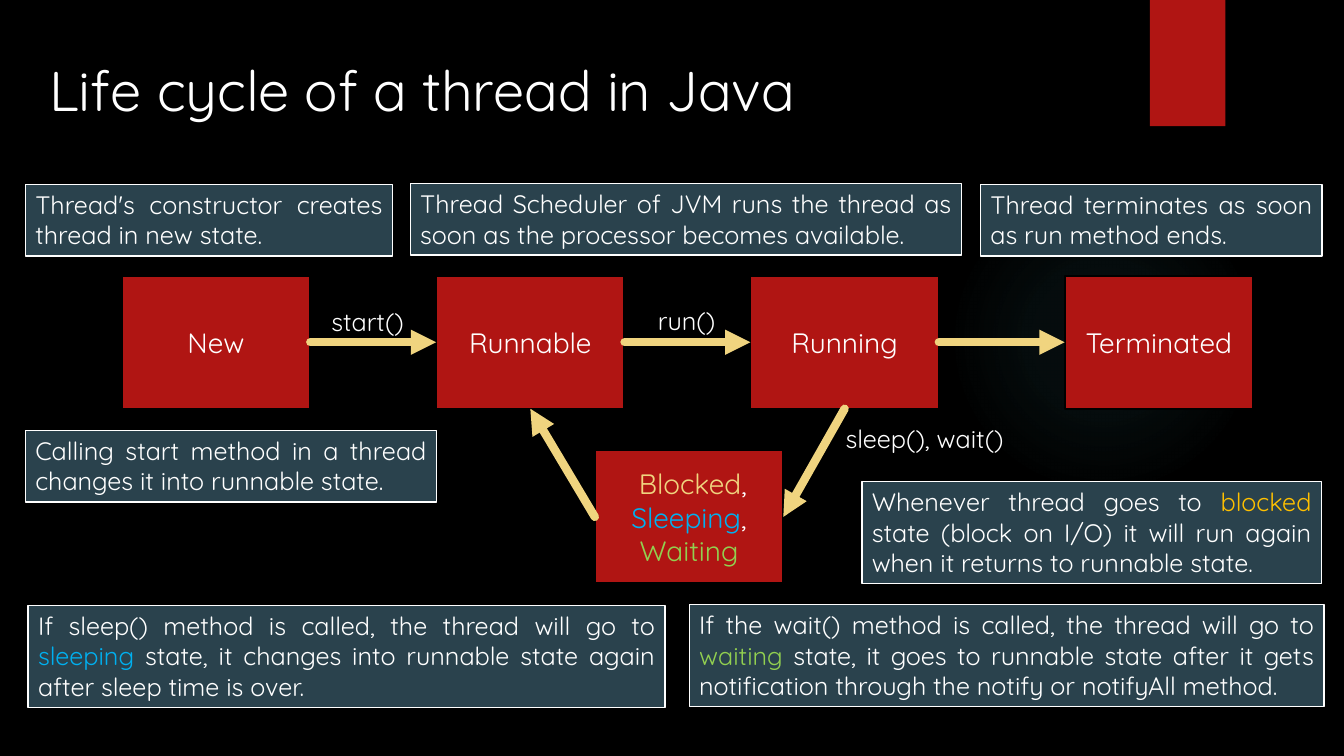
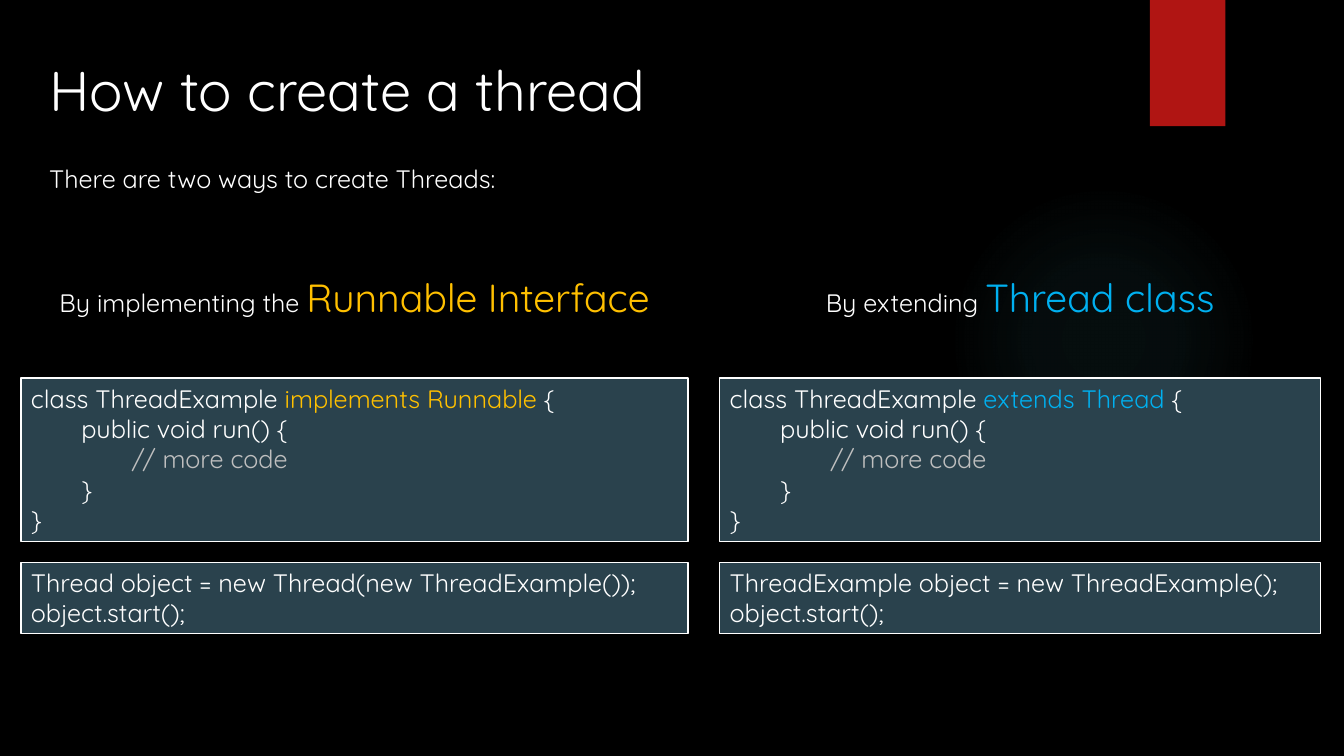
from pptx import Presentation
from pptx.dml.color import RGBColor
from pptx.enum.shapes import MSO_CONNECTOR, MSO_SHAPE
from pptx.enum.text import MSO_ANCHOR, MSO_AUTO_SIZE, PP_ALIGN
from pptx.oxml import parse_xml
from pptx.oxml.ns import nsdecls
from pptx.util import Cm, Pt

COLORS = {
    "black": "000000", "white": "FFFFFF", "red": "B01513", "slate": "2A424D",
    "sand": "F0D47F", "blue": "00B0F0", "green": "92D050", "amber": "FFC000",
    "gray": "BFBFBF", "teal": "50B9C1",
}
RGB = {name: RGBColor.from_string(value) for name, value in COLORS.items()}
FONT = "Quicksand"
GROW = MSO_AUTO_SIZE.SHAPE_TO_FIT_TEXT
FIXED = MSO_AUTO_SIZE.NONE
TOP, MIDDLE = MSO_ANCHOR.TOP, MSO_ANCHOR.MIDDLE
LEFT, CENTER, JUSTIFY = PP_ALIGN.LEFT, PP_ALIGN.CENTER, PP_ALIGN.JUSTIFY

# Frame: fill, line colour and line width; text: size, alignment and text frame values
STYLES = {
    "title": {"size": 40, "align": LEFT,
              "text": {"auto_size": FIXED, "vertical_anchor": TOP}},
    "state": {"size": 20, "align": CENTER, "frame": ("red", "black", 1.5),
              "text": {"auto_size": FIXED, "vertical_anchor": MIDDLE}},
    "note": {"size": 18, "align": JUSTIFY, "frame": ("slate", "white", 1),
             "text": {"auto_size": GROW, "vertical_anchor": TOP}},
    "code": {"size": 18, "align": LEFT, "frame": ("slate", "white", 1),
             "text": {"auto_size": GROW, "vertical_anchor": TOP}},
    "label": {"size": 18, "align": LEFT,
              "text": {"auto_size": GROW, "vertical_anchor": TOP}},
    "heading": {"size": 18, "align": CENTER,
                "text": {"auto_size": GROW, "vertical_anchor": TOP}},
}


def add_text(s, style, box, *lines):
    """Add styled text; a line is (indent level, (text, colour, size), ...) or a string."""
    look = STYLES[style]
    box = [Cm(v) for v in box]
    if "frame" in look:
        fill, line, width = look["frame"]
        sp = s.shapes.add_shape(MSO_SHAPE.RECTANGLE, *box)
        sp.shadow.inherit = False
        sp.fill.solid()
        sp.fill.fore_color.rgb = RGB[fill]
        sp.line.color.rgb = RGB[line]
        sp.line.width = Pt(width)
    else:
        sp = s.shapes.add_textbox(*box)
    tf = sp.text_frame
    tf.word_wrap = True
    for name, value in look["text"].items():
        setattr(tf, name, value)
    for i, line in enumerate(lines):
        level, *runs = (0, (line,)) if isinstance(line, str) else line
        p = tf.add_paragraph() if i else tf.paragraphs[0]
        p.alignment = look["align"]
        if level:
            p._p.get_or_add_pPr().set("marL", str(Cm(1.27 * level)))
        for text, *extra in runs:
            color, size = (extra + ["white", look["size"]][len(extra):])
            r = p.add_run()
            r.text = text
            for name, value in {"name": FONT, "size": Pt(size)}.items():
                setattr(r.font, name, value)
            r.font.color.rgb = RGB[color]
    return sp


def add_slide(title):
    """Add a blank slide with the glow, the red band and the title."""
    s = prs.slides.add_slide(prs.slide_layouts[6])
    s.background.fill.solid()
    s.background.fill.fore_color.rgb = RGB["black"]
    glow = s.shapes.add_shape(MSO_SHAPE.OVAL, Cm(23.9), Cm(4.65), Cm(7.82), Cm(7.82))
    band = s.shapes.add_shape(MSO_SHAPE.RECTANGLE, Cm(28.98), 0, Cm(1.9), Cm(3.18))
    for sp in (glow, band):
        sp.shadow.inherit = False
        sp.line.fill.background()
    band.fill.solid()
    band.fill.fore_color.rgb = RGB["red"]
    stops = "".join(
        f'<a:gs pos="{pos * 1000}"><a:srgbClr val="{COLORS["teal"]}">'
        f'<a:alpha val="{alpha * 1000}"/></a:srgbClr></a:gs>'
        for pos, alpha in ((0, 7), (36, 6), (69, 0), (100, 0)))
    glow._element.spPr.find("{*}prstGeom").addnext(parse_xml(
        f'<a:gradFill {nsdecls("a")}><a:gsLst>{stops}</a:gsLst><a:path path="circle">'
        '<a:fillToRect l="50000" t="50000" r="50000" b="50000"/></a:path></a:gradFill>'))
    add_text(s, "title", (0.99, 1.27, 28.07, 2.24), title)
    return s


prs = Presentation()
prs.slide_width, prs.slide_height = Cm(33.87), Cm(19.05)

# Slide 1: thread states, transitions and explanations
s = add_slide("Life cycle of a thread in Java")
STATE_W, STATE_H = 4.75, 3.35
states = {}
for i, name in enumerate(("New", "Runnable", "Running", "Terminated")):
    states[name] = add_text(s, "state", (3.07 + 7.92 * i, 6.95, STATE_W, STATE_H), name)
states["Blocked"] = add_text(
    s, "state", (14.99, 11.35, STATE_W, STATE_H),
    (0, (" ",), ("Blocked", "sand"), (", ",), ("Sleeping", "blue"), (", ",),
     ("Waiting", "green")))

# Connection sites of a rectangle
SITE_TOP, SITE_LEFT, SITE_BOTTOM, SITE_RIGHT = range(4)
transitions = [
    ("New", SITE_RIGHT, "Runnable", SITE_LEFT),
    ("Runnable", SITE_RIGHT, "Running", SITE_LEFT),
    ("Running", SITE_RIGHT, "Terminated", SITE_LEFT),
    ("Running", SITE_BOTTOM, "Blocked", SITE_RIGHT),
    ("Blocked", SITE_LEFT, "Runnable", SITE_BOTTOM),
]
for start, start_site, end, end_site in transitions:
    arrow = s.shapes.add_connector(MSO_CONNECTOR.STRAIGHT, 0, 0, 0, 0)
    arrow.begin_connect(states[start], start_site)
    arrow.end_connect(states[end], end_site)
    arrow.line.color.rgb = RGB["sand"]
    arrow.line.width = Pt(6)
    ln = arrow.line._get_or_add_ln()
    ln.set("cap", "rnd")
    ln.append(parse_xml(f'<a:tailEnd {nsdecls("a")} type="triangle"/>'))
    arrow._element.spPr.append(parse_xml(f'<a:effectLst {nsdecls("a")}/>'))

notes = [
    ((0.64, 4.65, 9.25, 1.8), "Thread's constructor creates thread in new state."),
    ((10.34, 4.63, 13.89, 1.8),
     "Thread Scheduler of JVM runs the thread as soon as the processor becomes available."),
    ((24.71, 4.65, 8.61, 1.8), "Thread terminates as soon as run method ends."),
    ((0.64, 10.85, 10.36, 1.8),
     "Calling start method in a thread changes it into runnable state."),
    ((21.72, 12.14, 11.58, 2.57),
     (0, ("Whenever thread goes to ",), ("blocked", "amber"),
      (" state (block on I/O) it will run again when it returns to runnable state.",))),
    ((0.71, 15.26, 16.05, 2.57),
     (0, ("If sleep() method is called, the thread will go to ",), ("sleeping", "blue"),
      (" state, it changes into runnable state again after sleep time is over.",))),
    ((17.37, 15.24, 16, 2.57),
     (0, ("If the wait() method is called, the thread will go to ",), ("waiting", "green"),
      (" state, it goes to runnable state after it gets notification through the "
       "notify or notifyAll method.",))),
]
for box, line in notes:
    add_text(s, "note", box, line)

for x, y, w, call in ((8.1, 7.59, 2.62, "start()"), (16.33, 7.57, 2.62, "run()"),
                      (21.06, 10.54, 6.48, "sleep(), wait()")):
    add_text(s, "label", (x, y, w, 1.02), call)

# Slide 2: two ways side by side
s = add_slide("How to create a thread")
add_text(s, "label", (0.99, 3.99, 15.47, 1.02), "There are two ways\u00a0to create Threads:")
ways = [
    (0.53, 16.81, "amber", "By implementing the ", "Runnable Interface",
     "implements Runnable ", "Thread object = new Thread(new ThreadExample());"),
    (18.14, 15.14, "blue", "By extending ", "Thread class",
     "extends Thread ", "ThreadExample object = new ThreadExample();"),
]
for x, w, color, intro, way, clause, creation in ways:
    add_text(s, "heading", (x, 6.76, w, 1.45), (0, (intro,), (way, color, 28)))
    add_text(s, "code", (x, 9.53, w, 4.11),
             (0, ("class ThreadExample ",), (clause, color), ("{",)),
             (1, ("public void run() {",)),
             (2, ("// more code", "gray")),
             (1, ("}",)),
             "}")
    add_text(s, "code", (x, 14.17, w, 1.8), creation, "object.start();")

prs.save("out.pptx")
